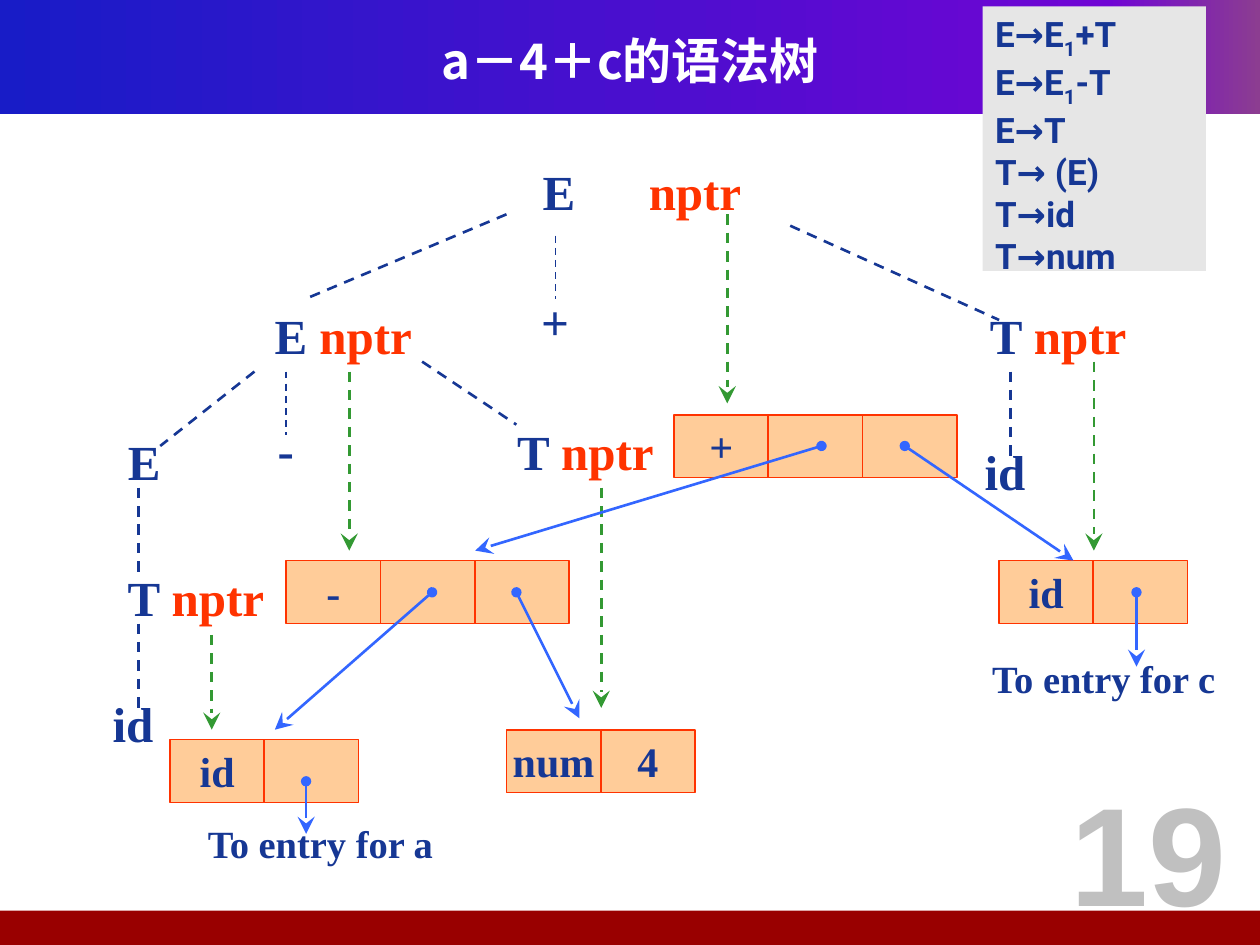
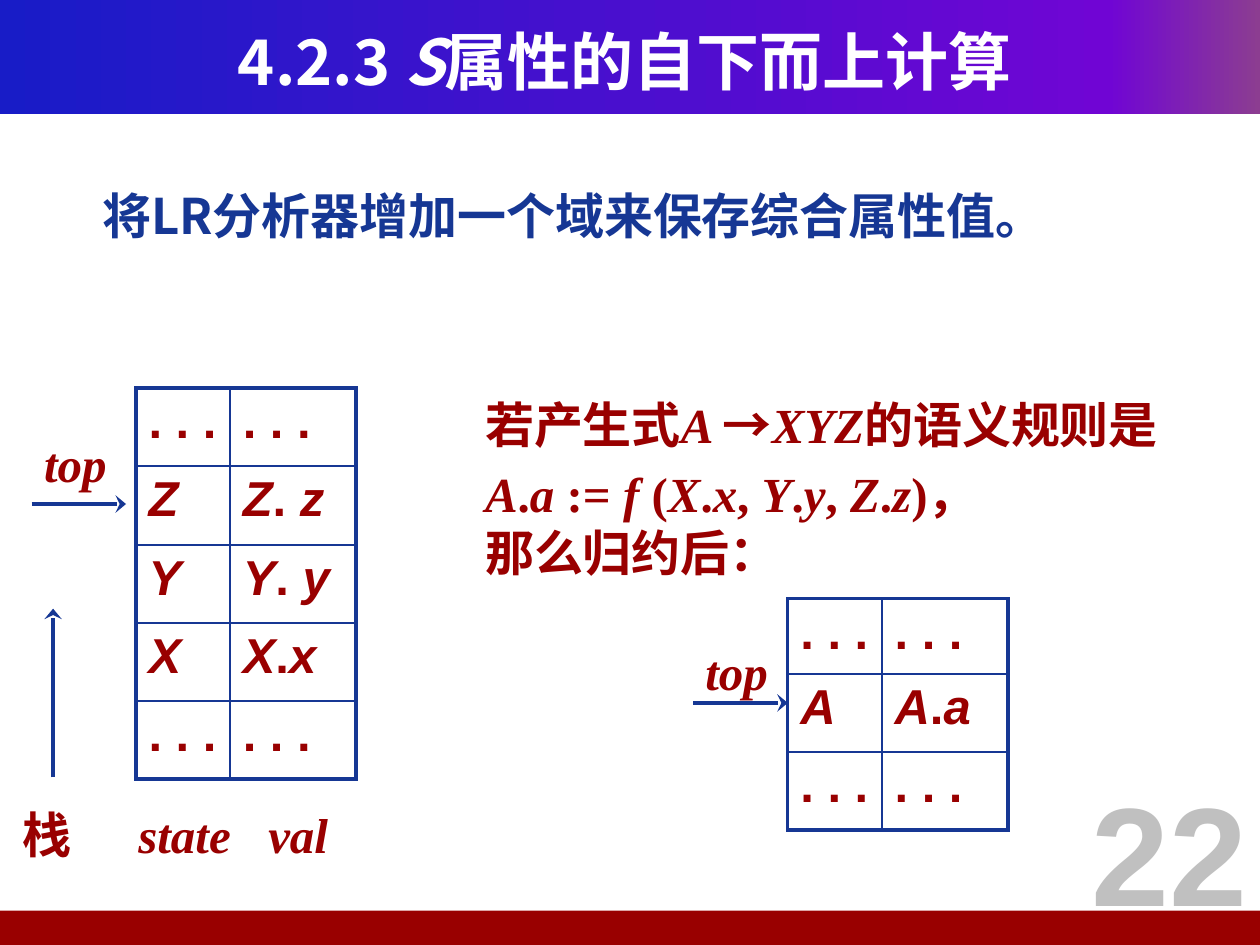
from dataclasses import dataclass, replace
from typing import NamedTuple, Optional

from lxml import etree
from pptx import Presentation
from pptx.dml.color import RGBColor
from pptx.enum.dml import MSO_LINE
from pptx.enum.shapes import MSO_CONNECTOR, MSO_SHAPE
from pptx.enum.text import MSO_ANCHOR, PP_ALIGN
from pptx.oxml.ns import qn
from pptx.util import Cm, Pt

RECTANGLE, STRAIGHT, DASH = MSO_SHAPE.RECTANGLE, MSO_CONNECTOR.STRAIGHT, MSO_LINE.DASH
LEFT, CENTER, RIGHT = PP_ALIGN.LEFT, PP_ALIGN.CENTER, PP_ALIGN.RIGHT
TOP, MIDDLE = MSO_ANCHOR.TOP, MSO_ANCHOR.MIDDLE

COLORS = {
    "navy": "163794", "orange": "FF3300", "peach": "FFCC99", "green": "339933",
    "blue": "3366FF", "red": "990000", "white": "FFFFFF", "number": "C0C0C0",
    "panel": "E6E6E6", "band_left": "181CC7", "band_mid": "7005D4", "band_right": "8C3D91",
}
BAND_STOPS = [(0, "band_left"), (88, "band_mid"), (100, "band_right")]
CELL_W, CELL_H, LABEL_H = 1.9, 1.27, 1.47
CJK_FONT = "Noto Sans CJK SC"


@dataclass(frozen=True)
class Style:
    font: str
    size: float
    color: str
    italic: bool = False
    baseline: int = 0
    east_asian: str = CJK_FONT


class Box(NamedTuple):
    left: float
    top: float
    width: float
    height: float


class Label(NamedTuple):
    markup: str
    left: float
    top: float
    width: float = 3.18
    size: float = 28


class Record(NamedTuple):
    left: float
    top: float
    fields: tuple[str, ...]


class Link(NamedTuple):
    x1: float
    y1: float
    x2: float
    y2: float
    width: float = 1.5


@dataclass(frozen=True)
class LinkKind:
    color: str
    dashed: bool = False
    dot_start: bool = False
    arrow_length: Optional[str] = None


TITLE = Style(CJK_FONT, 36, "white")
NUMBER = Style("Arial", 80, "number")
NODE = Style("Times New Roman", 28, "navy")
RULE = Style("Roboto", 20, "navy", east_asian="Roboto")
BODY = Style(CJK_FONT, 28, "navy")
PRODUCTION = replace(BODY, color="red")
FORMULA = Style("Times New Roman", 28, "red")
FORMULA_ITALIC = replace(FORMULA, italic=True)
STACK = Style("Arial", 28, "red")

BRANCH = LinkKind("navy", dashed=True)
NPTR = LinkKind("green", dashed=True, arrow_length="lg")
POINTER = LinkKind("blue", dot_start=True, arrow_length="lg")
ARROW = LinkKind("navy", arrow_length="med")


def rgb(name: str) -> RGBColor:
    return RGBColor.from_string(COLORS[name])


def place(box: Box) -> list[Cm]:
    return [Cm(length) for length in box]


def write_line(paragraph, markup: str, plain: Style, accent: Optional[Style] = None, align=LEFT):
    """Parts between bars take the accent style."""
    paragraph.alignment = align
    for index, part in enumerate(markup.split("|")):
        if not part:
            continue
        style = accent if index % 2 else plain
        run = paragraph.add_run()
        run.text = part
        font = run.font
        font.name, font.size, font.bold = style.font, Pt(style.size), True
        font.italic = style.italic
        font.color.rgb = rgb(style.color)
        properties = run._r.get_or_add_rPr()
        etree.SubElement(properties, qn("a:ea"), typeface=style.east_asian)
        if style.baseline:
            properties.set("baseline", str(style.baseline * 1000))


def add_text(slide, box: Box, markup: str, plain: Style, accent: Optional[Style] = None,
             align=LEFT, anchor=MIDDLE, wrap: bool = False, inset: float = 0.25):
    frame = slide.shapes.add_textbox(*place(box)).text_frame
    frame.word_wrap, frame.vertical_anchor = wrap, anchor
    frame.margin_left = frame.margin_right = Cm(inset)
    write_line(frame.paragraphs[0], markup, plain, accent, align)
    return frame


def add_rectangle(slide, box: Box, fill: str, line: Optional[str] = None):
    shape = slide.shapes.add_shape(RECTANGLE, *place(box))
    shape.shadow.inherit = False
    shape.fill.solid()
    shape.fill.fore_color.rgb = rgb(fill)
    if line:
        shape.line.color.rgb, shape.line.width = rgb(line), Pt(1)
    else:
        shape.line.fill.background()
    return shape


def add_link(slide, link: Link, kind: LinkKind) -> None:
    connector = slide.shapes.add_connector(
        STRAIGHT, Cm(link.x1), Cm(link.y1), Cm(link.x2), Cm(link.y2))
    line = connector.line
    line.color.rgb, line.width = rgb(kind.color), Pt(link.width)
    if kind.dashed:
        line.dash_style = DASH
    outline = line._get_or_add_ln()
    if kind.dot_start:
        etree.SubElement(outline, qn("a:headEnd"), type="oval")
    if kind.arrow_length:
        etree.SubElement(outline, qn("a:tailEnd"), type="stealth", w="lg", len=kind.arrow_length)
    etree.SubElement(connector._element.spPr, qn("a:effectLst"))


def add_record(slide, record: Record) -> None:
    for column, field in enumerate(record.fields):
        box = Box(record.left + column * CELL_W, record.top, CELL_W, CELL_H)
        frame = add_rectangle(slide, box, "peach", "orange").text_frame
        frame.word_wrap, frame.vertical_anchor = False, MIDDLE
        frame.margin_left = frame.margin_right = 0
        write_line(frame.paragraphs[0], field, replace(NODE, size=24), align=CENTER)


def add_stack(slide, left: float, top: float, row_heights: list[float],
              rows: list[tuple[str, str]]) -> None:
    widths = [1.9, 2.54]
    box = Box(left, top, sum(widths), sum(row_heights))
    table = slide.shapes.add_table(len(rows), 2, *place(box)).table
    table.first_row = table.horz_banding = False
    for column, width in zip(table.columns, widths):
        column.width = Cm(width)
    for r, fields in enumerate(rows):
        table.rows[r].height = Cm(row_heights[r])
        for c, field in enumerate(fields):
            cell = table.cell(r, c)
            cell.fill.background()
            write_line(cell.text_frame.paragraphs[0], field, STACK, replace(STACK, italic=True))
            # Outer edges are thick, inner edges thin
            edges = {"L": c == 0, "R": c == 1, "T": r == 0, "B": r == len(rows) - 1}
            for position, (edge, outer) in enumerate(edges.items()):
                border = etree.Element(qn(f"a:ln{edge}"), w=str(Pt(2.25 if outer else 1)))
                fill = etree.SubElement(border, qn("a:solidFill"))
                etree.SubElement(fill, qn("a:srgbClr"), val=COLORS["navy"])
                cell._tc.get_or_add_tcPr().insert(position, border)


def add_page(deck, title: str, title_style: Style, number: str, number_align):
    """Blank slide with the bands, title and page number."""
    slide = deck.slides.add_slide(deck.slide_layouts[6])
    band = add_rectangle(slide, Box(0, 0, 25.4, 2.31), "band_left")
    band.fill.gradient()
    band.fill.gradient_angle = 0
    stops = band._element.spPr.find(".//" + qn("a:gsLst"))
    stops.clear()
    for percent, color in BAND_STOPS:
        stop = etree.SubElement(stops, qn("a:gs"), pos=str(percent * 1000))
        etree.SubElement(stop, qn("a:srgbClr"), val=COLORS[color])
    add_rectangle(slide, Box(-0.1, 18.36, 25.5, 0.69), "red")
    add_text(slide, Box(0.84, 0.43, 23.5, 1.57), title, title_style,
             replace(title_style, italic=True), CENTER, wrap=True)
    add_text(slide, Box(20.9, 15.32, 4.5, 3.61), number, NUMBER,
             align=number_align, anchor=TOP, wrap=True)
    return slide


# Syntax tree content
RECORDS = [
    Record(3.43, 14.91, ("id", "")),
    Record(10.21, 14.71, ("num", "4")),
    Record(5.77, 11.3, ("-", "", "")),
    Record(13.59, 8.36, ("+", "", "")),
    Record(20.14, 11.3, ("id", "")),
]
NODES = [
    Label("E", 9.68, 3.12), Label("|nptr", 12.42, 3.12),
    Label("E |nptr", 5.33, 6.02), Label("+", 9.6, 5.74), Label("T |nptr", 19.74, 6.02),
    Label("E", 1.32, 8.56), Label("-", 4.17, 8.31), Label("T |nptr", 10.21, 8.36),
    Label("id", 18.67, 8.76), Label("T |nptr", 2.36, 11.3), Label("id", 1.09, 13.84),
    Label("To entry for a", 3.91, 16.26, 5.1, 22),
    Label("To entry for c", 19.61, 12.93, 5.28, 22),
]
LINKS = {
    BRANCH: [
        Link(10.21, 4.32, 6.17, 6.02), Link(11.2, 4.75, 11.2, 6.02, 1),
        Link(15.93, 4.55, 20.14, 6.45), Link(5.13, 7.49, 3.23, 8.99),
        Link(5.77, 7.49, 5.77, 8.76, 1), Link(8.51, 7.29, 10.41, 8.56),
        Link(20.37, 7.49, 20.37, 9.19), Link(2.79, 9.83, 2.79, 11.53),
        Link(2.79, 12.57, 2.79, 14.27),
    ],
    NPTR: [
        Link(14.66, 4.32, 14.66, 8.13), Link(7.04, 7.49, 7.04, 11.1),
        Link(22.05, 7.29, 22.05, 11.1), Link(12.12, 9.83, 12.12, 14.27),
        Link(4.27, 12.8, 4.27, 14.71),
    ],
    POINTER: [
        Link(16.56, 8.99, 9.58, 11.1), Link(18.24, 8.99, 21.64, 11.3),
        Link(8.71, 11.94, 5.54, 14.71), Link(10.41, 11.94, 11.68, 14.48),
        Link(6.17, 15.75, 6.17, 16.81), Link(22.91, 11.94, 22.91, 13.44),
    ],
}
GRAMMAR = ["E→E|1|+T", "E→E|1|-T", "E→T", "T→ (E)", "T→id", "T→num"]

# Stack content
DOTS = (". . .", ". . .")
STACK_BEFORE = [DOTS, ("|Z", "|Z|. |z"), ("|Y", "|Y|. |y"), ("|X", "|X|.|x"), DOTS]
STACK_AFTER = [DOTS, ("|A", "|A|.|a"), DOTS]
PREMISE = "若产生式|A |→|XYZ|的语义规则是"
SEMANTIC_RULE = "|A|.|a| := |f |(|X|.|x|, |Y|.|y|, |Z|.|z|)，"
CONCLUSION = "那么归约后："
CAPTIONS = [
    Label("栈", 0.2, 16.08, 1.8), Label("|state", 2.54, 16.08, 2.6),
    Label("|val", 5.16, 16.08, 2),
    Label("|top", 0.64, 8.59, 2), Label("|top", 13.97, 12.8, 2),
]
STACK_ARROWS = [
    Link(0.64, 10.16, 2.54, 10.16, 2), Link(1.07, 15.67, 1.07, 12.27, 2),
    Link(13.97, 14.17, 15.88, 14.17, 2),
]


def build_syntax_tree(deck) -> None:
    slide = add_page(deck, " a－4＋c的语法树", replace(TITLE, size=28), "19", CENTER)
    for record in RECORDS:
        add_record(slide, record)
    for kind, links in LINKS.items():
        for link in links:
            add_link(slide, link, kind)
    for node in NODES:
        style = replace(NODE, size=node.size)
        add_text(slide, Box(node.left, node.top, node.width, LABEL_H), node.markup,
                 style, replace(style, color="orange"), CENTER, inset=0)
    # Grammar panel
    frame = add_rectangle(slide, Box(19.81, 0.13, 4.5, 5.33), "panel").text_frame
    frame.vertical_anchor = TOP
    for index, rule in enumerate(GRAMMAR):
        paragraph = frame.add_paragraph() if index else frame.paragraphs[0]
        write_line(paragraph, rule, RULE, replace(RULE, baseline=-25))


def build_stack(deck) -> None:
    slide = add_page(deck, "4.2.3 |S|属性的自下而上计算", TITLE, "22", RIGHT)
    lead = add_text(slide, Box(0.84, 3.61, 23.93, 14.81),
                    "将LR分析器增加一个域来保存综合属性值。", BODY, anchor=TOP, wrap=True)
    lead.paragraphs[0]._p.get_or_add_pPr().set("marL", str(Cm(0.97)))
    add_stack(slide, 2.74, 7.82, [1.57, 1.6, 1.57, 1.57, 1.57], STACK_BEFORE)
    add_stack(slide, 15.88, 12.07, [1.52, 1.57, 1.57], STACK_AFTER)
    for link in STACK_ARROWS:
        add_link(slide, link, ARROW)
    for caption in CAPTIONS:
        add_text(slide, Box(caption.left, caption.top, caption.width, LABEL_H),
                 caption.markup, FORMULA, FORMULA_ITALIC)
    # Reduction rule
    frame = add_text(slide, Box(9.53, 7.82, 15, 3.81), PREMISE, PRODUCTION,
                     FORMULA_ITALIC, anchor=TOP)
    semantic_rule = frame.add_paragraph()
    semantic_rule.space_before = Pt(6)
    write_line(semantic_rule, SEMANTIC_RULE, FORMULA, FORMULA_ITALIC)
    write_line(frame.add_paragraph(), CONCLUSION, FORMULA)


def main() -> None:
    deck = Presentation()
    deck.slide_width, deck.slide_height = Cm(25.4), Cm(19.05)
    build_syntax_tree(deck)
    build_stack(deck)
    deck.save("out.pptx")


if __name__ == "__main__":
    main()
